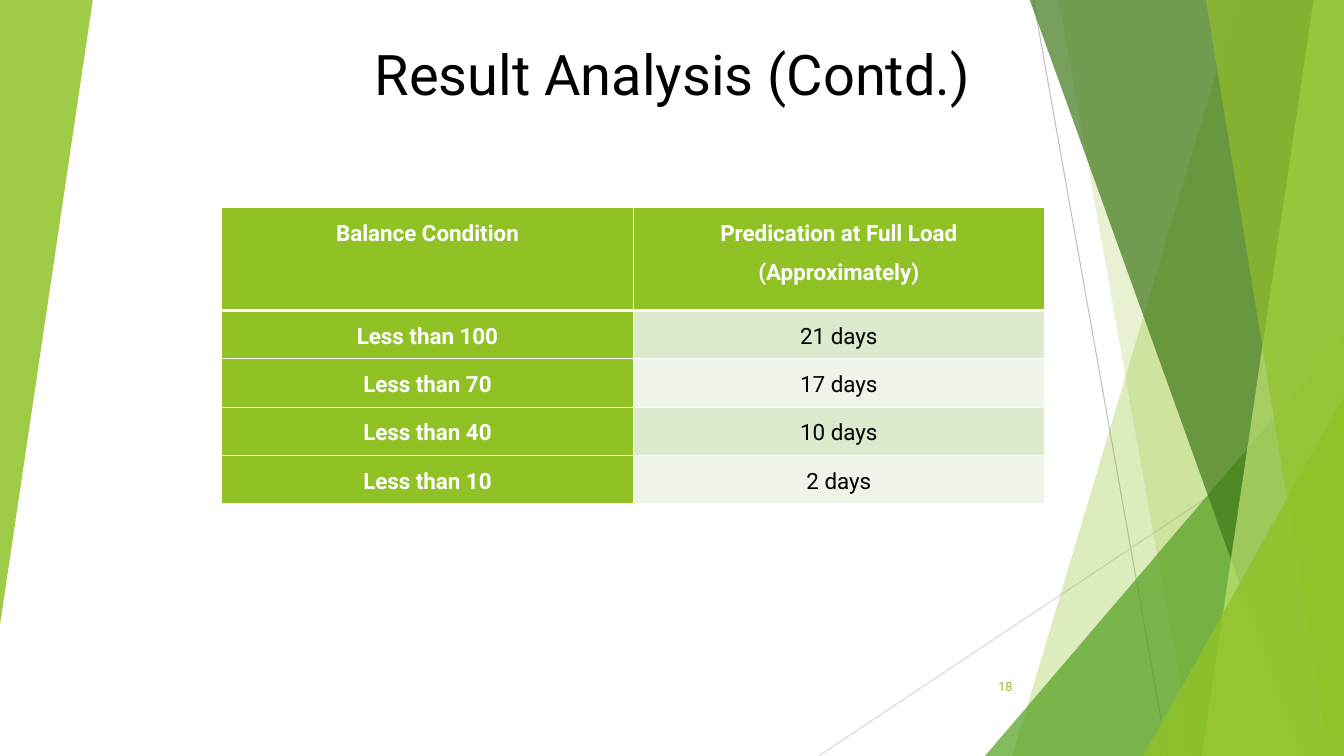
import dataclasses
import typing

import pptx
import pptx.dml.color
import pptx.enum.shapes
import pptx.enum.text
import pptx.oxml
import pptx.oxml.ns
import pptx.oxml.xmlchemy
import pptx.util

Inches = pptx.util.Inches
Align = pptx.enum.text.PP_ALIGN
Anchor = pptx.enum.text.MSO_ANCHOR
Point = tuple[float, float]
Box = tuple[float, float, float, float]

WIDTH, HEIGHT = 13.33, 7.5


@dataclasses.dataclass(frozen=True)
class Theme:
    font: str = "Roboto"
    title_size: int = 40
    table_size: int = 16
    number_size: int = 9
    black: str = "000000"
    white: str = "FFFFFF"
    lime: str = "90C226"
    pale_lime: str = "C0E474"
    green: str = "54A021"
    dark_green: str = "3F7819"
    band_dark: str = "DBE9CD"
    band_light: str = "EEF4E8"
    line_dark: str = "BFBFBF"
    line_light: str = "D9D9D9"


THEME = Theme()


@dataclasses.dataclass(frozen=True)
class Ray:
    start: Point
    end: Point
    color: str


@dataclasses.dataclass(frozen=True)
class Facet:
    """A panel reaching the right edge, with a slanted left side."""
    top_x: float
    bottom_x: float
    color: str
    opacity: int


@dataclasses.dataclass(frozen=True)
class Wedge:
    """A right-angled triangle."""
    box: Box
    color: str
    opacity: int
    rotation: int = 0


@dataclasses.dataclass(frozen=True)
class Label:
    text: str
    box: Box
    size: int
    color: str
    align: Align
    anchor: Anchor


RAYS = [
    Ray((10.25, 0), (11.58, HEIGHT), THEME.line_dark),
    Ray((WIDTH, 4.03), (8.12, HEIGHT), THEME.line_light),
]
PANELS = [
    Facet(12.28, 10.04, THEME.lime, 30),
    Facet(10.5, 11.83, THEME.lime, 20),
    Wedge((9.77, 3.33, 3.56, 4.17), THEME.green, 72),
    Facet(10.21, 12.91, THEME.dark_green, 70),
    Facet(13.03, 11.92, THEME.pale_lime, 70),
    Facet(11.96, 13.18, THEME.lime, 65),
    Wedge((11.34, 3.93, 1.99, 3.57), THEME.lime, 80),
    Wedge((0, 0, 0.92, 6.2), THEME.lime, 85, rotation=180),
]
LABELS = [
    Label("Result Analysis (Contd.)", (1.67, -1.5, 10, 2.61), THEME.title_size,
          THEME.black, Align.CENTER, Anchor.BOTTOM),
    Label("18", (9.39, 6.61, 0.75, 0.4), THEME.number_size,
          THEME.lime, Align.RIGHT, Anchor.MIDDLE),
]
TABLE_ROWS = [
    ("Balance Condition", "Predication at Full Load (Approximately)"),
    ("Less than 100", "21 days"),
    ("Less than 70", "17 days"),
    ("Less than 40", "10 days"),
    ("Less than 10", "2 days"),
]
TABLE_BOX: Box = (2.2, 2.06, 8.16, 2.95)
HEADER_HEIGHT, ROW_HEIGHT = 1.02, 0.48


def rgb(color: str) -> pptx.dml.color.RGBColor:
    return pptx.dml.color.RGBColor.from_string(color)


def inches(values: typing.Iterable[float]) -> list[int]:
    return [Inches(value) for value in values]


def apply(target: typing.Any, values: dict[str, typing.Any]) -> None:
    for name, value in values.items():
        setattr(target, name, value)


def set_text(text_frame: typing.Any, text: str, size: int, color: str,
             align: Align, bold: bool = False, spacing: float = 1.0) -> None:
    paragraph = text_frame.paragraphs[0]
    apply(paragraph, {"alignment": align, "line_spacing": spacing})
    run = paragraph.add_run()
    run.text = text
    apply(run.font, {"name": THEME.font, "size": pptx.util.Pt(size), "bold": bold})
    run.font.color.rgb = rgb(color)


def draw_ray(slide: typing.Any, ray: Ray) -> None:
    connector = slide.shapes.add_connector(
        pptx.enum.shapes.MSO_CONNECTOR.STRAIGHT, *inches(ray.start + ray.end))
    connector.line.color.rgb = rgb(ray.color)
    connector.line.width = pptx.util.Pt(0.75)
    properties = connector.element.spPr
    properties.append(pptx.oxml.xmlchemy.OxmlElement("a:effectLst"))


def draw_panel(slide: typing.Any, panel: Facet | Wedge) -> None:
    if isinstance(panel, Facet):
        corners = [(panel.top_x, -0.01), (WIDTH, -0.01), (WIDTH, HEIGHT), (panel.bottom_x, HEIGHT)]
        start, *others = [tuple(inches(corner)) for corner in corners]
        builder = slide.shapes.build_freeform(*start)
        builder.add_line_segments(others, close=True)
        shape = builder.convert_to_shape()
    else:
        shape = slide.shapes.add_shape(
            pptx.enum.shapes.MSO_SHAPE.ISOSCELES_TRIANGLE, *inches(panel.box))
        shape.adjustments[0] = 1.0
        shape.rotation = panel.rotation
    shape.shadow.inherit = False
    shape.line.fill.background()
    shape.fill.solid()
    shape.fill.fore_color.rgb = rgb(panel.color)
    alpha = pptx.oxml.xmlchemy.OxmlElement("a:alpha")
    alpha.set("val", str(panel.opacity * 1000))
    next(shape.element.spPr.iter(pptx.oxml.ns.qn("a:srgbClr"))).append(alpha)


def draw_label(slide: typing.Any, label: Label) -> None:
    text_frame = slide.shapes.add_textbox(*inches(label.box)).text_frame
    apply(text_frame, {"word_wrap": True, "vertical_anchor": label.anchor})
    set_text(text_frame, label.text, label.size, label.color, label.align)


def set_borders(cell: typing.Any, widths: dict[str, float]) -> None:
    properties = cell._tc.get_or_add_tcPr()
    for side, width in widths.items():
        properties.append(pptx.oxml.parse_xml(
            f'<a:ln{side} {pptx.oxml.ns.nsdecls("a")} w="{pptx.util.Pt(width)}">'
            f'<a:solidFill><a:srgbClr val="{THEME.white}"/></a:solidFill></a:ln{side}>'))


def draw_table(slide: typing.Any) -> None:
    table = slide.shapes.add_table(len(TABLE_ROWS), 2, *inches(TABLE_BOX)).table
    apply(table, {"first_row": False, "horz_banding": False})
    for row_index, texts in enumerate(TABLE_ROWS):
        is_header = row_index == 0
        table.rows[row_index].height = Inches(HEADER_HEIGHT if is_header else ROW_HEIGHT)
        band = THEME.band_dark if row_index % 2 else THEME.band_light
        for column_index, text in enumerate(texts):
            cell = table.cell(row_index, column_index)
            strong = is_header or column_index == 0
            apply(cell, {"margin_left": Inches(0.07), "margin_right": Inches(0.07),
                         "margin_top": 0, "margin_bottom": 0})
            set_borders(cell, {"L": 1, "R": 1, "T": 3 if row_index == 1 else 1,
                               "B": 3 if is_header else 1})
            cell.fill.solid()
            cell.fill.fore_color.rgb = rgb(THEME.lime if strong else band)
            set_text(cell.text_frame, text, THEME.table_size,
                     THEME.white if strong else THEME.black, Align.CENTER, strong, 1.5)


def main() -> None:
    presentation = pptx.Presentation()
    apply(presentation, {"slide_width": Inches(WIDTH), "slide_height": Inches(HEIGHT)})
    slide = presentation.slides.add_slide(presentation.slide_layouts[6])

    # Background rays and green panels
    for ray in RAYS:
        draw_ray(slide, ray)
    for panel in PANELS:
        draw_panel(slide, panel)

    # Title, page number and results
    for label in LABELS:
        draw_label(slide, label)
    draw_table(slide)

    presentation.save("out.pptx")


if __name__ == "__main__":
    main()
